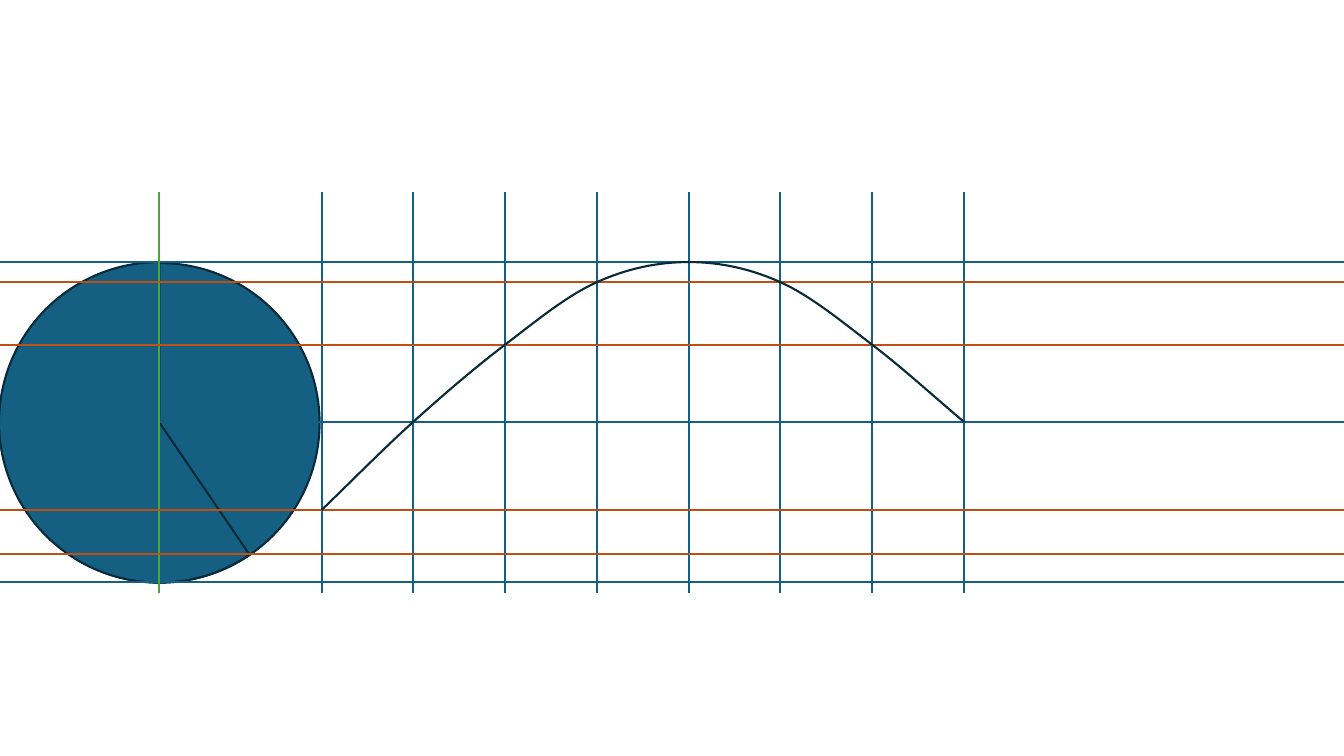
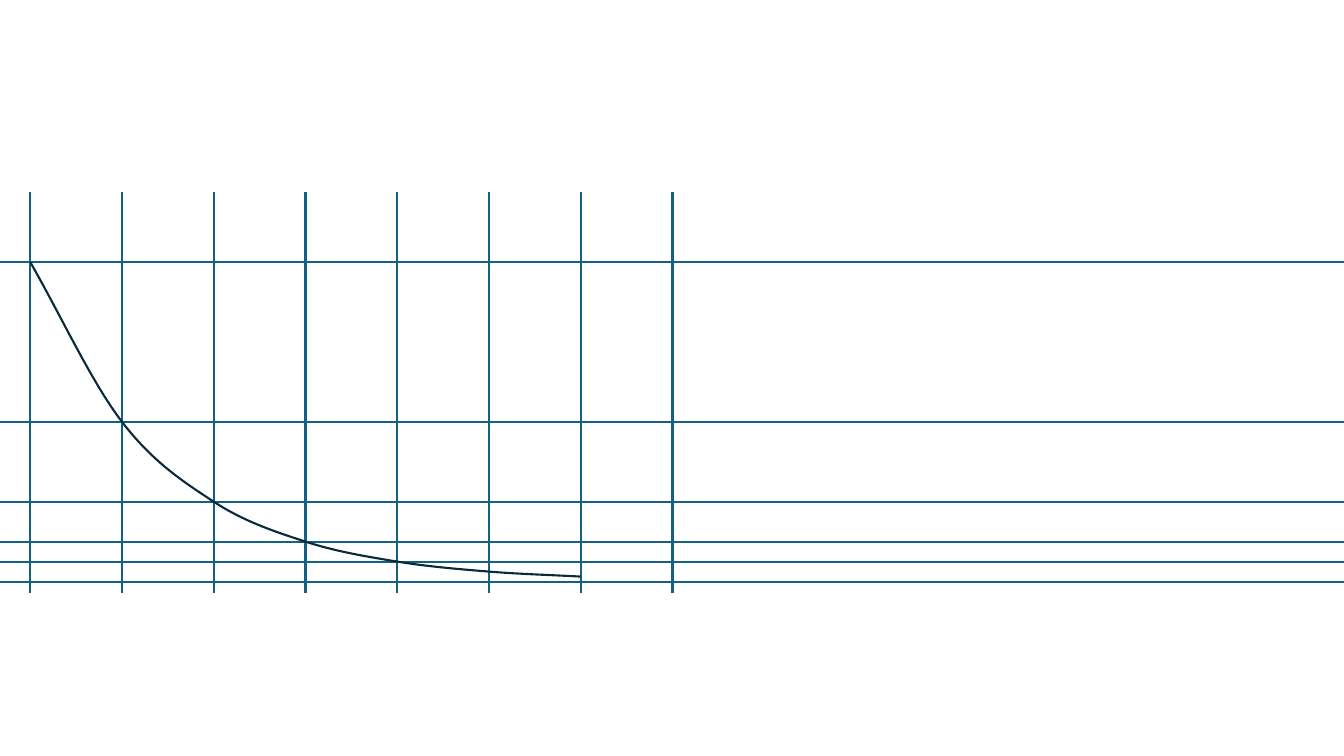
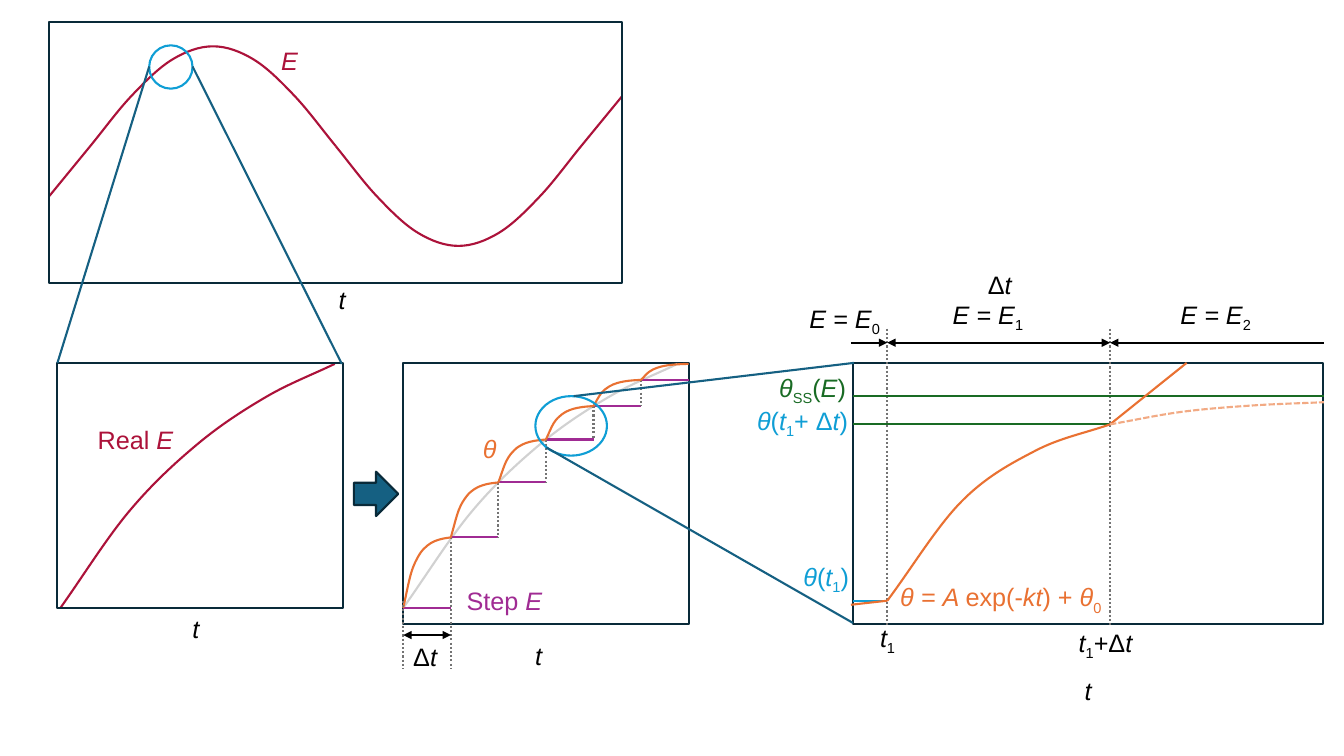
import math
from dataclasses import dataclass
from typing import Any

from lxml import etree
from pptx import Presentation
from pptx.dml.color import RGBColor
from pptx.enum.dml import MSO_LINE
from pptx.enum.shapes import MSO_CONNECTOR, MSO_SHAPE
from pptx.enum.text import MSO_AUTO_SIZE
from pptx.oxml.ns import qn
from pptx.util import Inches, Pt

BLUE = RGBColor(0x15, 0x60, 0x82)
NAVY = RGBColor(0x09, 0x2A, 0x39)
LIME = RGBColor(0x4E, 0xA7, 0x2E)
RUST = RGBColor(0xC0, 0x4F, 0x15)
CRIMSON = RGBColor(0xAC, 0x12, 0x3A)
SKY = RGBColor(0x0F, 0x9E, 0xD5)
SILVER = RGBColor(0xD1, 0xD1, 0xD1)
PURPLE = RGBColor(0xA0, 0x2B, 0x93)
GRAY = RGBColor(0x74, 0x74, 0x74)
ORANGE = RGBColor(0xE9, 0x71, 0x32)
PEACH = RGBColor(0xF2, 0xAA, 0x84)
GREEN = RGBColor(0x19, 0x6B, 0x24)
BLACK = RGBColor(0, 0, 0)

FONT = "Arial"
DOTTED, DASHED = MSO_LINE.ROUND_DOT, MSO_LINE.SQUARE_DOT

COLUMN_GAP, COLUMNS = 0.91, 8
CIRCLE_TOP, DIAMETER = 0.7, 3.17
CIRCLE_AXIS = CIRCLE_TOP + DIAMETER / 2
CIRCLE_BOTTOM = CIRCLE_TOP + DIAMETER

RISE_START, RISE_END, RISE_RATE = (0, 2.43), (2.72, 0.01), 1.43
STEP_RATE, RESPONSE_RATE = 4, 2
STEPS = 6


def approach(progress, rate):
    """Return the share of an exponential change done, from 0 to 1."""
    return (1 - math.exp(-rate * progress)) / (1 - math.exp(-rate))


def exponential(start, end, rate, pieces):
    """Return knots of an exponential approach from start to end."""
    (x0, y0), (x1, y1) = start, end
    shares = [i / pieces for i in range(pieces + 1)]
    return [(x0 + (x1 - x0) * share, y0 + (y1 - y0) * approach(share, rate))
            for share in shares]


def rise_height(x):
    """Return the height of the real E in its enlarged panel."""
    (x0, y0), (x1, y1) = RISE_START, RISE_END
    return y0 + (y1 - y0) * approach((x - x0) / (x1 - x0), RISE_RATE)


def bezier_points(knots):
    """Return a path through the knots with two handles in each gap."""
    def beyond(end, inner):
        return tuple(2 * a - b for a, b in zip(end, inner))

    padded = [beyond(knots[0], knots[1]), *knots, beyond(knots[-1], knots[-2])]
    points = [knots[0]]
    for before, start, end, after in zip(padded, padded[1:], padded[2:], padded[3:]):
        leaving = tuple(s + (e - b) / 6 for b, s, e in zip(before, start, end))
        arriving = tuple(e - (a - s) / 6 for s, e, a in zip(start, end, after))
        points += [leaving, arriving, end]
    return points


def style_line(line, color, dash=None):
    """Give a line the shared weight, a colour and an optional dash."""
    line.width = Pt(1.5)
    line.color.rgb = color
    if dash:
        line.dash_style = dash


@dataclass
class Region:
    """A box on a slide whose parts are placed relative to its corner."""
    slide: Any
    left: float
    top: float
    width: float
    height: float

    def at(self, x, y):
        """Return the slide position of a point in the region."""
        return Inches(self.left + x), Inches(self.top + y)

    def line(self, start, end, color, dash=None, arrows=()):
        """Draw a straight line with optional arrowheads."""
        connector = self.slide.shapes.add_connector(
            MSO_CONNECTOR.STRAIGHT, *self.at(*start), *self.at(*end))
        style_line(connector.line, color, dash)
        ln = connector.line._get_or_add_ln()
        for arrow in arrows:
            etree.SubElement(ln, qn(f"a:{arrow}End"), type="triangle")
        etree.SubElement(connector._element.spPr, qn("a:effectLst"))

    def shape(self, kind, x, y, width, height, color=NAVY, fill=None):
        """Draw a preset shape, hollow unless a fill is given."""
        shape = self.slide.shapes.add_shape(
            kind, *self.at(x, y), Inches(width), Inches(height))
        shape.shadow.inherit = False
        if fill is None:
            shape.fill.background()
        else:
            shape.fill.solid()
            shape.fill.fore_color.rgb = fill
        style_line(shape.line, color)
        return shape

    def frame(self):
        """Outline the whole region."""
        self.shape(MSO_SHAPE.RECTANGLE, 0, 0, self.width, self.height)

    def curve(self, knots, color, dash=None):
        """Draw a smooth curve through the knots."""
        start, *others = [self.at(*point) for point in bezier_points(knots)]
        builder = self.slide.shapes.build_freeform(*start)
        builder.add_line_segments(others, close=False)
        shape = builder.convert_to_shape()
        shape.shadow.inherit = False
        shape.fill.background()
        style_line(shape.line, color, dash)
        path = shape._element.find(".//" + qn("a:path"))
        segments = iter(path.findall(qn("a:lnTo")))
        for triple in zip(segments, segments, segments):
            bezier = etree.SubElement(path, qn("a:cubicBezTo"))
            for segment in triple:
                bezier.append(segment[0])
                path.remove(segment)

    def label(self, x, y, width, color, *parts):
        """Write runs: a leading / means italic, a leading _ means subscript."""
        box = self.slide.shapes.add_textbox(*self.at(x, y), Inches(width), Inches(0.4))
        frame = box.text_frame
        frame.word_wrap = False
        frame.auto_size = MSO_AUTO_SIZE.SHAPE_TO_FIT_TEXT
        for part in parts:
            run = frame.paragraphs[0].add_run()
            run.text = part.lstrip("/_")
            run.font.name, run.font.size = FONT, Pt(18)
            run.font.color.rgb = color
            run.font.italic = part.startswith("/")
            if part.startswith("_"):
                run._r.get_or_add_rPr().set("baseline", "-25000")


def draw_levels(region, heights, color):
    """Draw horizontal guides across the region."""
    for y in heights:
        region.line((region.width, y), (-0.3, y), color)


def draw_columns(region, first):
    """Draw evenly spaced vertical guides and return their positions."""
    columns = [first + i * COLUMN_GAP for i in range(COLUMNS)]
    for x in columns:
        region.line((x, 0), (x, region.height), BLUE)
    return columns


def draw_sine_construction(region):
    """Project heights on a circle to a sine curve."""
    high, middle, low, lowest = 0.9, 1.52, 3.16, 3.6
    region.shape(MSO_SHAPE.OVAL, 0, 0.71, DIAMETER, DIAMETER, fill=BLUE)
    sector = region.shape(MSO_SHAPE.PIE, -0.01, CIRCLE_TOP, 3.18, 3.18, fill=BLUE)
    sector.adjustments[0], sector.adjustments[1] = 33.43, 162
    draw_levels(region, (CIRCLE_TOP, CIRCLE_AXIS, CIRCLE_BOTTOM), BLUE)
    columns = draw_columns(region, 3.19)
    region.line((1.58, 0), (1.58, region.height), LIME)
    draw_levels(region, (high, middle, low, lowest), RUST)
    climb = [low, CIRCLE_AXIS, middle, high]
    descent = [high, middle, CIRCLE_AXIS]
    region.curve(list(zip(columns, [*climb, CIRCLE_TOP, *descent])), NAVY)


def draw_decay_construction(region):
    """Draw a decay curve over levels that halve at each column."""
    halvings = [CIRCLE_BOTTOM - DIAMETER / 2 ** i for i in range(COLUMNS - 1)]
    draw_levels(region, halvings[:5] + [CIRCLE_BOTTOM], BLUE)
    columns = draw_columns(region, 0.3)
    region.curve(list(zip(columns, halvings)), NAVY)


def draw_wave_panel(panel):
    """Draw the full oscillation of E as two half waves."""
    axis, amplitude, peak_knot, knots_per_half = 1.23, 0.99, 4, 7
    knot_gap = panel.width / 2 / knots_per_half
    wave = [(i * knot_gap, axis - amplitude * math.cos(math.radians(30 * (i - peak_knot))))
            for i in range(2 * knots_per_half + 1)]
    panel.curve(wave[:knots_per_half + 1], CRIMSON)
    panel.curve(wave[knots_per_half:], CRIMSON)
    panel.shape(MSO_SHAPE.OVAL, 0.99, 0.23, 0.43, 0.43, SKY)
    panel.frame()
    panel.label(2.77, 2.55, 0.27, BLACK, "/t")
    panel.label(2.2, 0.18, 0.37, CRIMSON, "/E")


def draw_zoom_panel(panel):
    """Draw the enlarged rise of the real E."""
    inset = 0.03
    rise = exponential(RISE_START, RISE_END, RISE_RATE, 4)
    panel.curve([(x + inset, y) for x, y in rise], CRIMSON)
    panel.frame()
    panel.label(0.3, 0.56, 0.96, CRIMSON, "Real ", "/E")
    panel.label(1.24, 2.44, 0.27, BLACK, "/t")


def draw_step_panel(panel):
    """Draw E as steps with theta relaxing on each of them."""
    marker_end, marker_arrow = 3.04, 2.7
    panel.frame()
    panel.curve(exponential(RISE_START, RISE_END, RISE_RATE, 4), SILVER)
    edges = [i * panel.width / STEPS for i in range(STEPS + 1)]
    levels = [rise_height(x) for x in edges[:-1]] + [RISE_END[1]]
    spans = list(zip(edges, edges[1:], levels, levels[1:]))
    for left, right, level, _ in spans:
        panel.line((left, level), (right, level), PURPLE)
    for i, (_, right, level, next_level) in enumerate(spans[:-1]):
        bottom = marker_end if i == 0 else level
        panel.line((right, next_level), (right, bottom), GRAY, DOTTED)
    for left, right, level, next_level in spans:
        panel.curve(exponential((left, level), (right, next_level), STEP_RATE, 6), ORANGE)
    panel.label(0.53, 2.16, 0.96, PURPLE, "Step ", "/E")
    panel.label(0.69, 0.65, 0.34, ORANGE, "/θ")
    panel.label(1.21, 2.7, 0.27, BLACK, "/t")
    panel.label(0, 2.71, 0.44, BLACK, "Δ", "/t")
    panel.line((0, 2.36), (0, marker_end), GRAY, DOTTED)
    panel.line((0, marker_arrow), (edges[1], marker_arrow), BLACK, arrows=("head", "tail"))
    panel.shape(MSO_SHAPE.OVAL, 1.31, 0.33, 0.71, 0.59, SKY)


def draw_response_panel(panel):
    """Draw the response of theta within one time step."""
    start, end, right = 0.34, 2.55, 4.67
    theta_start, theta_end, steady_state = 2.36, 0.61, 0.33
    arrow_y, overhang = -0.2, -0.02
    panel.frame()
    for x in (start, end):
        panel.line((x, -0.34), (x, 2.6), GRAY, DOTTED)
    for left, stop, arrows in [(start, end, ("head", "tail")),
                               (end, right, ("head",)),
                               (overhang, start, ("tail",))]:
        panel.line((left, arrow_y), (stop, arrow_y), BLACK, arrows=arrows)
    for x, y, color in [(right, steady_state, GREEN), (end, theta_end, GREEN),
                        (start, theta_start, SKY)]:
        panel.line((x, y), (0, y), color)
    response = exponential((start, theta_start), (end, theta_end), RESPONSE_RATE, 3)
    panel.curve(response, ORANGE)
    panel.curve([(overhang, 2.4), (start, theta_start)], ORANGE)
    panel.curve([(end, theta_end), (3.31, 0)], ORANGE)
    panel.curve(exponential((end, theta_end), (right, 0.39), RESPONSE_RATE, 3), PEACH, DASHED)
    panel.label(1.24, -0.98, 0.44, BLACK, "Δ", "/t")
    for i, (x, y) in enumerate([(-0.53, -0.64), (0.89, -0.68), (3.15, -0.68)]):
        panel.label(x, y, 0.92, BLACK, "/E = E", f"_{i}")
    panel.label(-0.83, 0.04, 0.9, GREEN, "/θ", "_SS", "(", "/E", ")")
    panel.label(-1.05, 0.37, 1.11, SKY, "/θ", "(", "/t", "_1", "+ Δ", "/t", ")")
    panel.label(-0.59, 1.92, 0.67, SKY, "/θ", "(", "/t", "_1", ")")
    panel.label(0.37, 2.12, 2.21, ORANGE, "/θ = A ", "exp(-", "/kt", ") + ", "/θ", "_0")
    panel.label(0.17, 2.52, 0.36, BLACK, "/t", "_1")
    panel.label(2.14, 2.57, 0.75, BLACK, "/t", "_1", "+Δ", "/t")
    panel.label(2.2, 3.05, 0.27, BLACK, "/t")


def draw_callouts(page):
    """Link each circled detail to its enlarged panel."""
    for detail, corner in [((1.48, 0.66), (0.57, 3.6)), ((1.91, 0.66), (3.39, 3.61)),
                           ((5.42, 4.44), (8.46, 6.18)), ((5.69, 3.93), (8.47, 3.6))]:
        page.line(detail, corner, BLUE)
    page.shape(MSO_SHAPE.RIGHT_ARROW, 3.51, 4.68, 0.44, 0.44, fill=BLUE)


def main():
    """Build the three slides."""
    deck = Presentation()
    deck.slide_width, deck.slide_height = Inches(13.33), Inches(7.5)
    blank = deck.slide_layouts[6]
    for draw in (draw_sine_construction, draw_decay_construction):
        draw(Region(deck.slides.add_slide(blank), 0, 1.9, 13.33, 3.98))
    slide = deck.slides.add_slide(blank)
    draw_zoom_panel(Region(slide, 0.57, 3.6, 2.83, 2.43))
    draw_step_panel(Region(slide, 4, 3.6, 2.83, 2.59))
    draw_response_panel(Region(slide, 8.46, 3.6, 4.66, 2.59))
    draw_wave_panel(Region(slide, 0.49, 0.22, 5.68, 2.59))
    draw_callouts(Region(slide, 0, 0, 13.33, 7.5))
    deck.save("out.pptx")


main()
